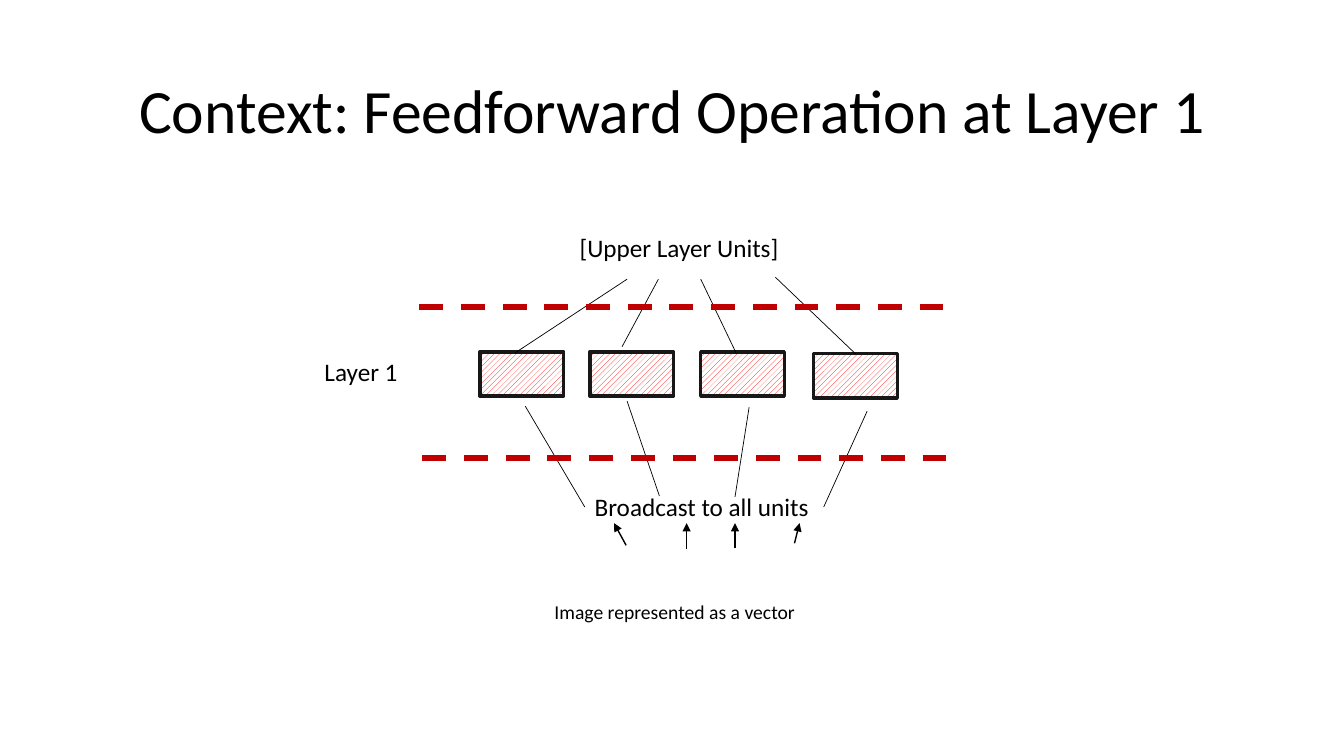
"""Build a slide on the feedforward operation at layer 1 of a network."""
from pptx import Presentation
from pptx import util as u
from pptx.dml.color import RGBColor
from pptx.enum import dml, shapes, text
from pptx.oxml import xmlchemy
from pptx.oxml.ns import qn

PX = 9144
BLACK = RGBColor(0x00, 0x00, 0x00)
WHITE = RGBColor(0xFF, 0xFF, 0xFF)
HATCH = RGBColor(0xFF, 0x00, 0x00)
BORDER = RGBColor(0x18, 0x17, 0x17)
DIVIDER = RGBColor(0xC0, 0x00, 0x00)

UNIT_SIZE = (83, 44)
UNITS = [(476, 349), (585, 349), (695, 349), (807, 351)]
LABELS = [
    ("Layer 1", (312, 349, 103, 40), 18),
    ("Image represented as a vector", (540, 590, 268, 34), 14),
    ("Broadcast to all units", (580, 483, 237, 40), 18),
    ("[Upper Layer Units]", (565, 226, 237, 40), 18),
]
UPPER_LINKS = [
    (622, 277, 511, 350),
    (653, 277, 617, 344),
    (695, 277, 730, 350),
    (769, 275, 849, 351),
]
LOWER_LINKS = [
    (521, 403, 580, 503),
    (622, 398, 654, 492),
    (743, 404, 729, 493),
    (860, 408, 817, 503),
]
INPUT_ARROWS = [
    (621, 541, 609, 519),
    (681, 545, 681, 519),
    (729, 544, 729, 519),
    (788, 539, 793, 519),
]
DIVIDERS = [(416, 305, 937, 305), (419, 454, 941, 454)]


def px(values):
    """Turn whole px lengths into EMU."""
    return [value * PX for value in values]


def apply_format(target, values):
    """Set each named attribute on the target."""
    for name, value in values.items():
        setattr(target, name, value)


def write(box, words, size, frame_format, para_format):
    """Put one formatted paragraph into a shape."""
    frame = box.text_frame
    frame.text = words
    apply_format(frame, frame_format)
    para = frame.paragraphs[0]
    apply_format(para, para_format)
    span = para.runs[0]
    apply_format(span.font, {"name": "Calibri", "size": u.Pt(size)})
    span.font.color.rgb = BLACK


def set_title(page, words):
    """Place and fill the title placeholder."""
    title = page.shapes.title
    edges = px((92, 40, 1150, 145))
    apply_format(title, dict(zip(("left", "top", "width", "height"), edges)))
    frame_format = {
        "vertical_anchor": text.MSO_ANCHOR.MIDDLE,
        "auto_size": text.MSO_AUTO_SIZE.NONE,
        "word_wrap": True,
    }
    para_format = {"alignment": text.PP_ALIGN.CENTER, "line_spacing": 0.9}
    write(title, words, 44, frame_format, para_format)


def add_label(page, words, place, size):
    """Add a left-aligned text label."""
    box = page.shapes.add_textbox(*px(place))
    frame_format = {
        "word_wrap": True,
        "auto_size": text.MSO_AUTO_SIZE.SHAPE_TO_FIT_TEXT,
    }
    write(box, words, size, frame_format, {"alignment": text.PP_ALIGN.LEFT})


def add_unit(page, corner):
    """Add one hatched network unit."""
    unit = page.shapes.add_shape(
        shapes.MSO_SHAPE.RECTANGLE, *px(corner + UNIT_SIZE))
    unit.shadow.inherit = False
    unit.fill.patterned()
    unit.fill.pattern = dml.MSO_PATTERN.WIDE_UPWARD_DIAGONAL
    unit.fill.fore_color.rgb = HATCH
    unit.fill.back_color.rgb = WHITE
    unit.line.color.rgb = BORDER
    unit.line.width = u.Pt(2.5)
    return unit


def add_line(page, ends, width, color=BLACK, dash=None, arrow=False):
    """Add a straight line, dashed or with an arrowhead on request."""
    line = page.shapes.add_connector(
        shapes.MSO_CONNECTOR.STRAIGHT, *px(ends))
    line.line.color.rgb = color
    apply_format(line.line, {"width": u.Pt(width), "dash_style": dash})
    if arrow:
        outline = line.line._get_or_add_ln()
        head = outline.makeelement(qn("a:tailEnd"), {"type": "triangle"})
        outline.append(head)
    properties = line._element.spPr
    properties.append(properties.makeelement(qn("a:effectLst"), {}))
    return line


def main():
    """Assemble and save the deck."""
    deck = Presentation()
    apply_format(deck, {"slide_width": 1333 * PX, "slide_height": 750 * PX})
    page = deck.slides.add_slide(deck.slide_layouts[5])
    set_title(page, "Context: Feedforward Operation at Layer 1")
    units = [add_unit(page, corner) for corner in UNITS]
    for words, place, size in LABELS:
        add_label(page, words, place, size)
    links = [add_line(page, ends, 0.5) for ends in UPPER_LINKS]
    links[-1].end_connect(units[-1], 0)
    for ends in LOWER_LINKS:
        add_line(page, ends, 0.5)
    for ends in INPUT_ARROWS:
        add_line(page, ends, 1, arrow=True)
    for ends in DIVIDERS:
        add_line(page, ends, 4.25, DIVIDER, dml.MSO_LINE.DASH)
    deck.save("out.pptx")


if __name__ == "__main__":
    main()
